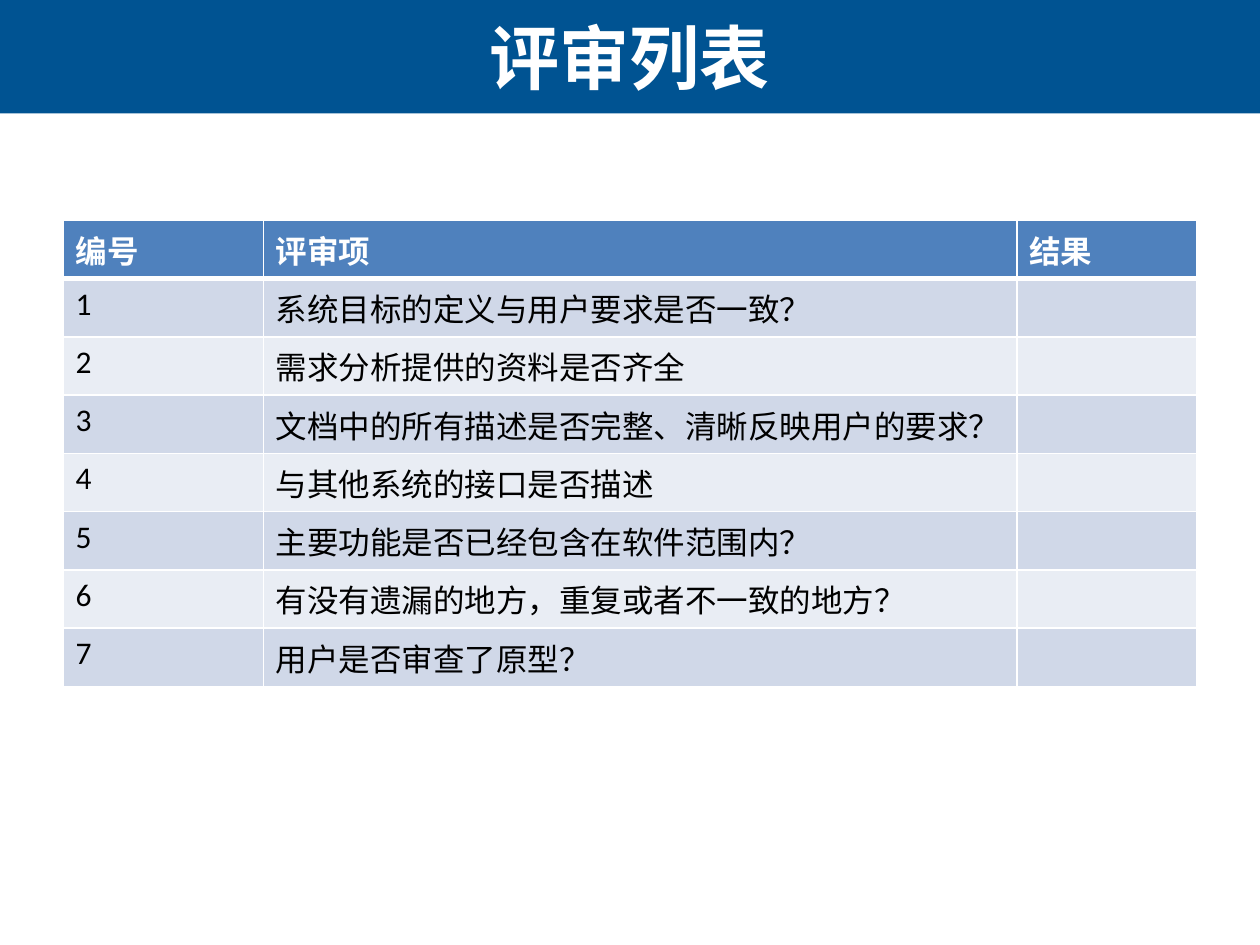
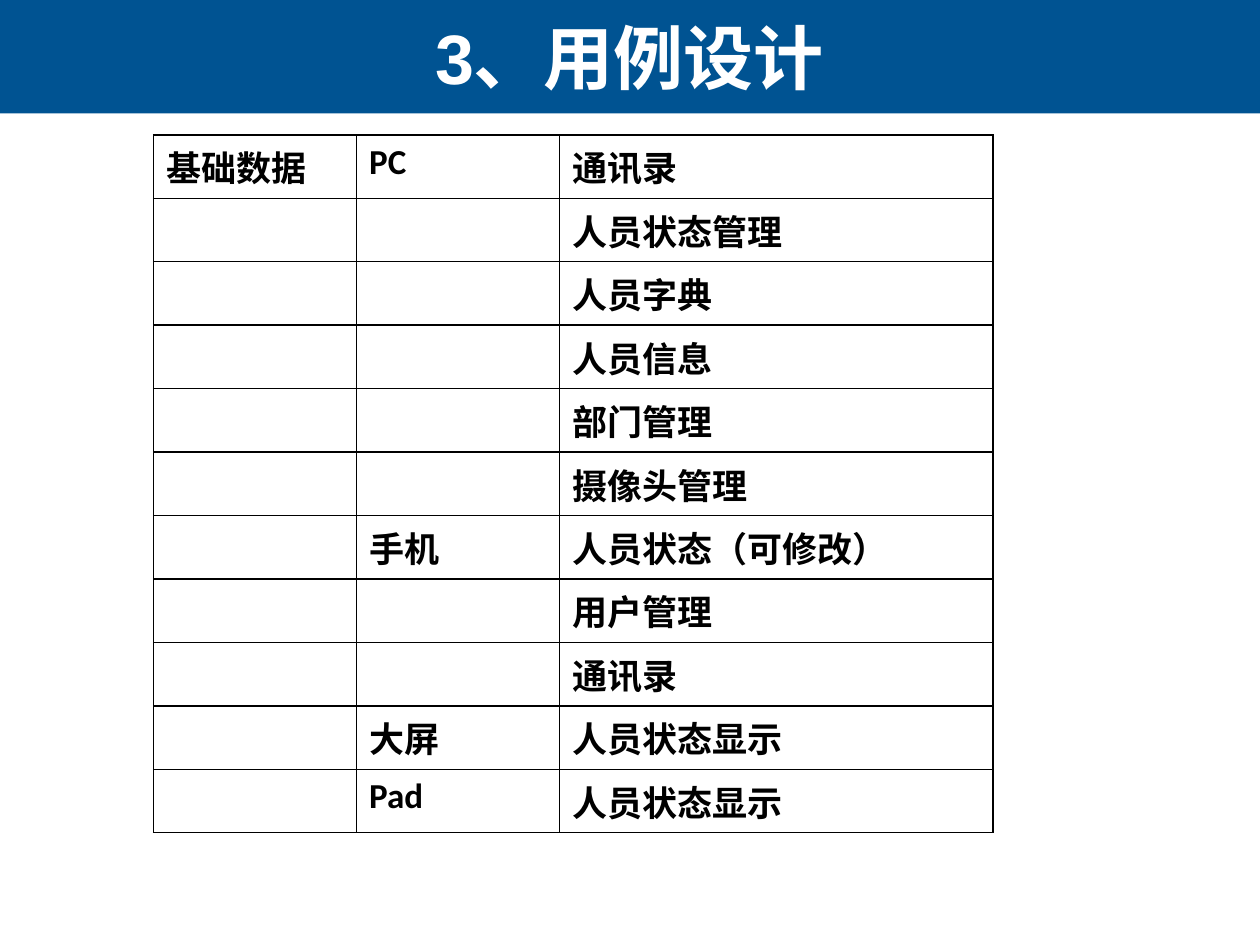
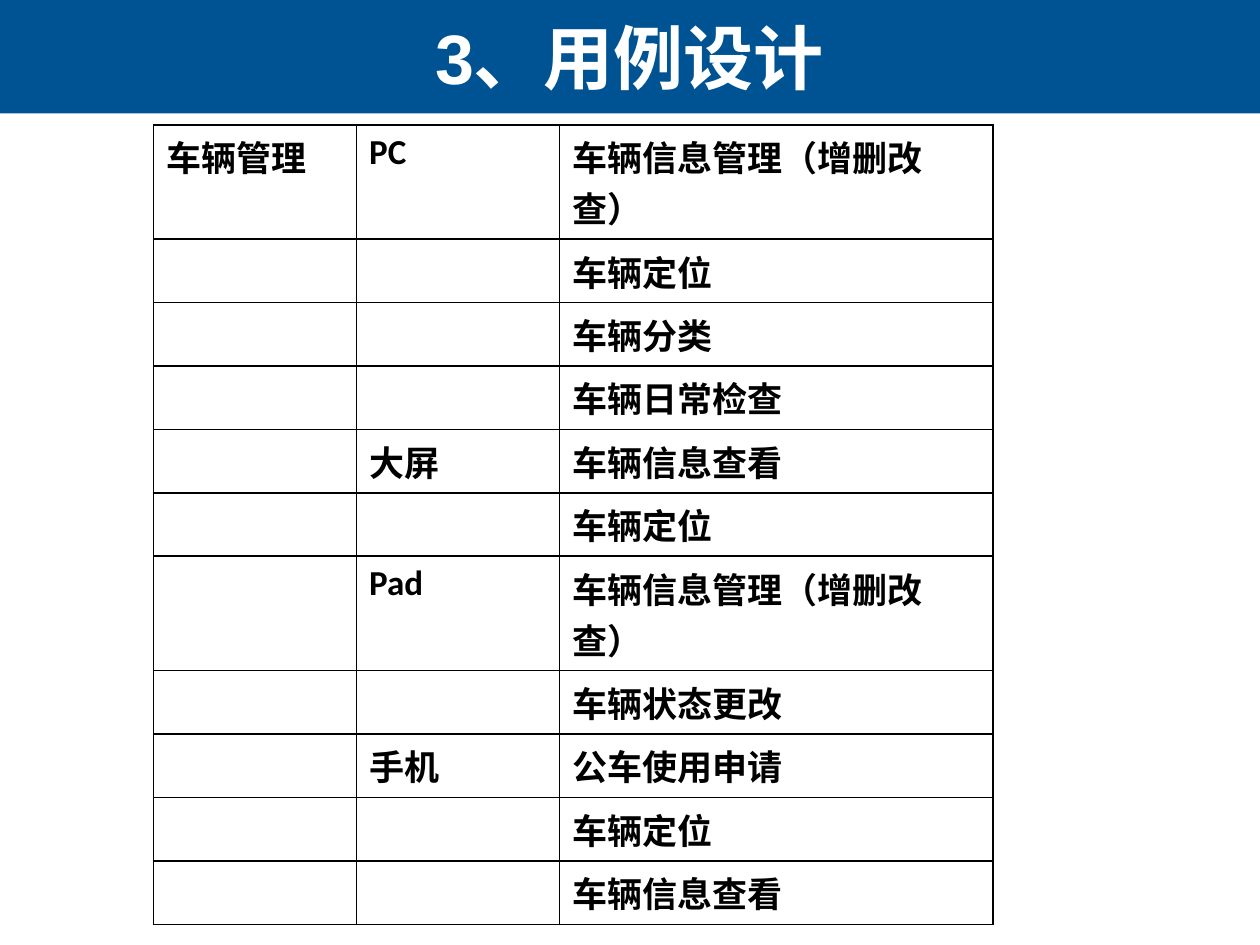
from dataclasses import dataclass

from lxml import etree
from pptx import Presentation
from pptx.dml.color import RGBColor
from pptx.enum.shapes import MSO_SHAPE
from pptx.enum.text import MSO_ANCHOR, PP_ALIGN
from pptx.oxml.ns import qn
from pptx.util import Inches, Pt

RECT = MSO_SHAPE.RECTANGLE
MIDDLE = MSO_ANCHOR.MIDDLE
CENTER = PP_ALIGN.CENTER
TITLE_ONLY = 5


@dataclass(frozen=True)
class Theme:
    band: str = "005392"
    head: str = "4F81BD"
    odd: str = "D0D8E8"
    even: str = "E9EDF4"
    white: str = "FFFFFF"
    black: str = "000000"
    title_font: str = "Arial"
    body_font: str = "Calibri"
    title_size: int = 40
    review_size: int = 18
    case_size: int = 20
    band_height: float = 0.9
    row_height: float = 0.41


THEME = Theme()

REVIEW = [
    "系统目标的定义与用户要求是否一致？",
    "需求分析提供的资料是否齐全",
    "文档中的所有描述是否完整、清晰反映用户的要求？",
    "与其他系统的接口是否描述",
    "主要功能是否已经包含在软件范围内？",
    "有没有遗漏的地方，重复或者不一致的地方？",
    "用户是否审查了原型？",
]

STAFF = {
    "PC": ["通讯录", "人员状态管理", "人员字典", "人员信息", "部门管理", "摄像头管理"],
    "手机": ["人员状态（可修改）", "用户管理", "通讯录"],
    "大屏": ["人员状态显示"],
    "Pad": ["人员状态显示"],
}

CARS = {
    "PC": ["车辆信息管理（增删改查）", "车辆定位", "车辆分类", "车辆日常检查"],
    "大屏": ["车辆信息查看", "车辆定位"],
    "Pad": ["车辆信息管理（增删改查）", "车辆状态更改"],
    "手机": ["公车使用申请", "车辆定位", "车辆信息查看"],
}


def rgb(color):
    return RGBColor.from_string(color)


def set_font(para, name, size, color, bold):
    font = para.font
    font.name = name
    font.size = Pt(size)
    font.bold = bold
    font.color.rgb = rgb(color)


def add_band(slide):
    """Draw the title band and move it to the layout that all slides share."""
    band = slide.shapes.add_shape(RECT, 0, 0, Inches(10), Inches(THEME.band_height))
    band.shadow.inherit = False
    band.fill.solid()
    band.fill.fore_color.rgb = rgb(THEME.band)
    band.line.fill.background()
    slide.slide_layout.shapes._spTree.insert(2, band._element)


def add_slide(prs, text):
    slide = prs.slides.add_slide(prs.slide_layouts[TITLE_ONLY])
    title = slide.shapes.title
    title.left, title.top = Inches(-0.01), 0
    title.width, title.height = Inches(10.01), Inches(THEME.band_height)
    frame = title.text_frame
    frame.text = text
    frame.vertical_anchor = MIDDLE
    para = frame.paragraphs[0]
    para.alignment = CENTER
    set_font(para, THEME.title_font, THEME.title_size, THEME.white, True)
    return slide


def set_edges(cell, color, top=1, bottom=1):
    props = cell._tc.get_or_add_tcPr()
    for side, width in (("L", 1), ("R", 1), ("T", top), ("B", bottom)):
        line = etree.SubElement(props, qn(f"a:ln{side}"), w=str(Pt(width)))
        fill = etree.SubElement(line, qn("a:solidFill"))
        etree.SubElement(fill, qn("a:srgbClr"), val=color)


def fill_cell(cell, text, size, color, bold, back):
    cell.text = text
    set_font(cell.text_frame.paragraphs[0], THEME.body_font, size, color, bold)
    cell.fill.solid()
    cell.fill.fore_color.rgb = rgb(back)


def add_grid(slide, left, top, widths, count):
    """Add an unbanded table with even rows."""
    height = THEME.row_height * count
    frame = slide.shapes.add_table(
        count, len(widths), Inches(left), Inches(top),
        Inches(sum(widths)), Inches(height))
    table = frame.table
    table.first_row = table.horz_banding = False
    for col, width in zip(table.columns, widths):
        col.width = Inches(width)
    return table


def add_review(slide):
    rows = [("编号", "评审项", "结果")]
    rows += [(str(num), item, "") for num, item in enumerate(REVIEW, 1)]
    table = add_grid(slide, 0.5, 1.75, (1.59, 5.98, 1.43), len(rows))
    table.first_row = True
    for r, row in enumerate(rows):
        head = r == 0
        back = THEME.head if head else THEME.odd if r % 2 else THEME.even
        color = THEME.white if head else THEME.black
        for c, text in enumerate(row):
            cell = table.cell(r, c)
            set_edges(cell, THEME.white, 3 if r == 1 else 1, 3 if head else 1)
            fill_cell(cell, text, THEME.review_size, color, head, back)


def add_cases(slide, top, group, cases):
    """List use cases by device, naming group and device on their first row only."""
    rows = [[device if i == 0 else "", item]
            for device, items in cases.items() for i, item in enumerate(items)]
    table = add_grid(slide, 1.22, top, (1.61, 1.61, 3.44), len(rows))
    for r, row in enumerate(rows):
        for c, text in enumerate(["" if r else group] + row):
            cell = table.cell(r, c)
            set_edges(cell, THEME.black)
            fill_cell(cell, text, THEME.case_size, THEME.black, True, THEME.white)


def main():
    prs = Presentation()
    prs.slide_width, prs.slide_height = Inches(10), Inches(7.5)
    review = add_slide(prs, "评审列表")
    add_band(review)
    add_review(review)
    for top, group, cases in ((1.07, "基础数据", STAFF), (0.99, "车辆管理", CARS)):
        add_cases(add_slide(prs, "3、用例设计"), top, group, cases)
    prs.save("out.pptx")


if __name__ == "__main__":
    main()
